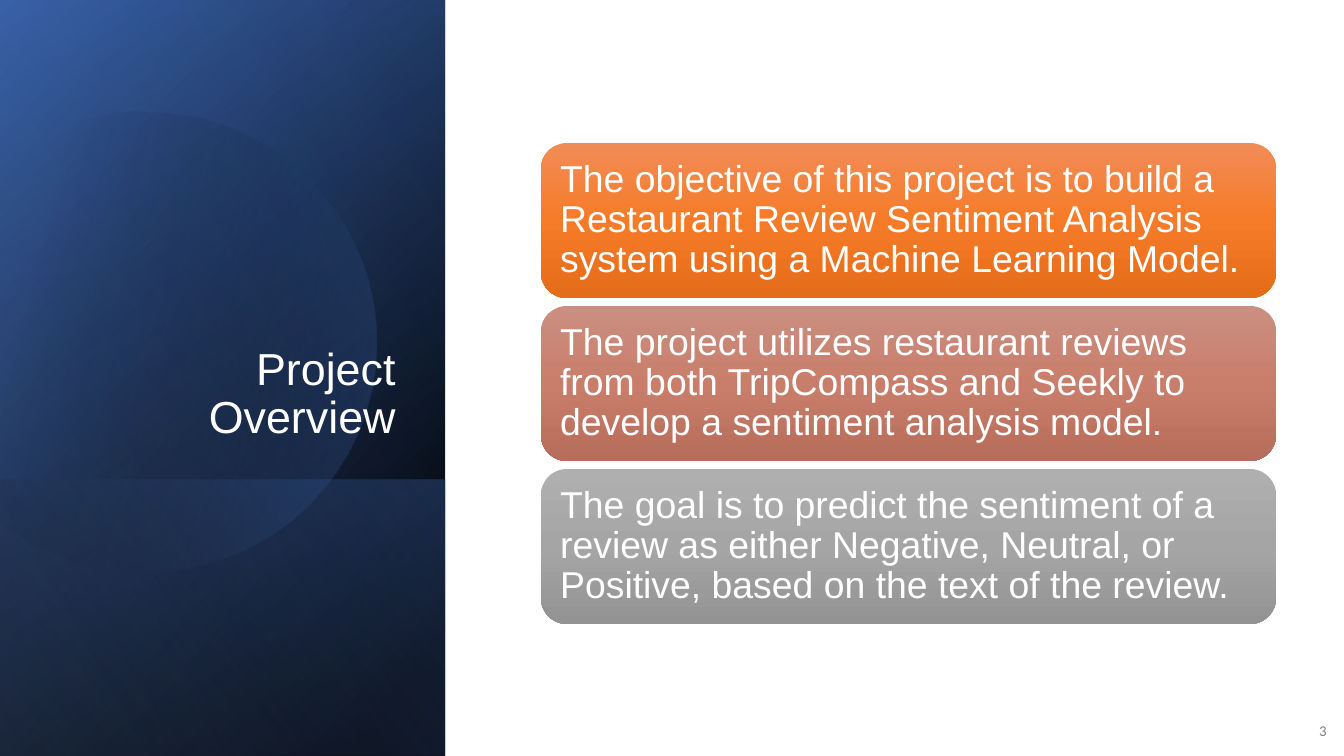
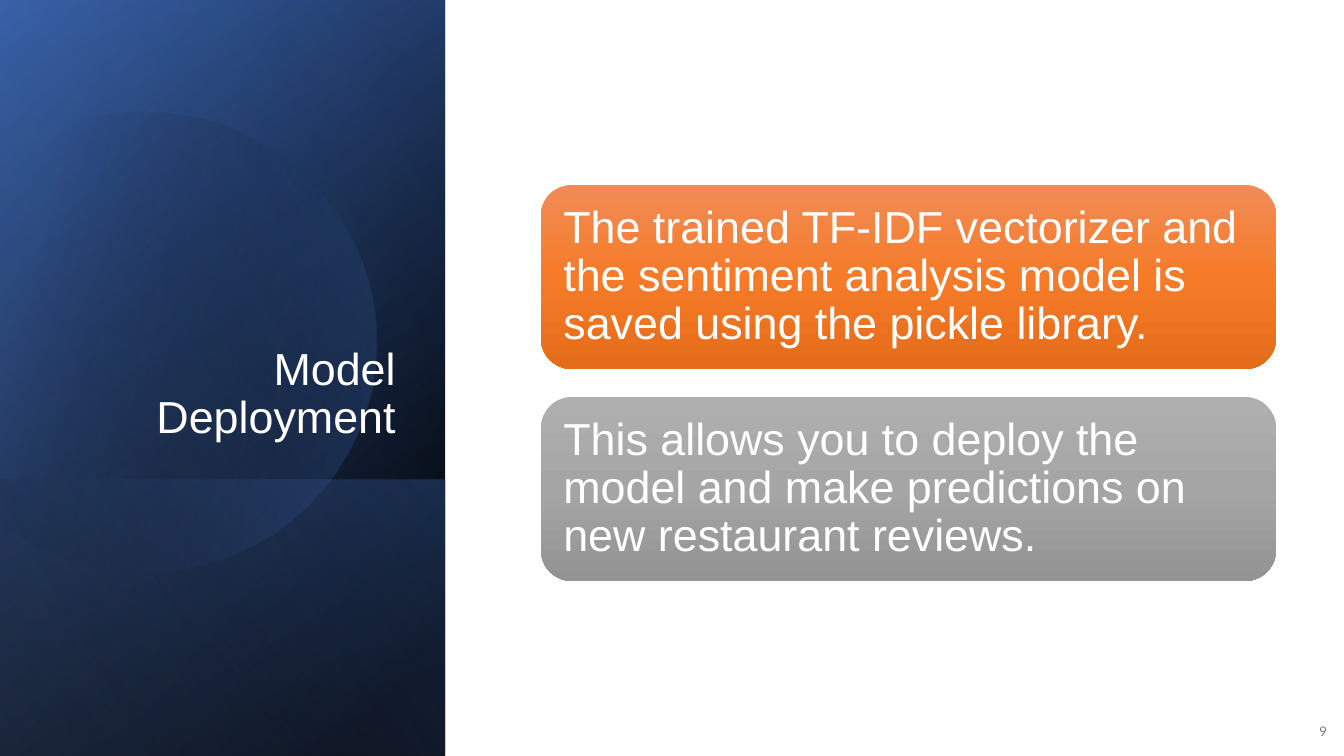
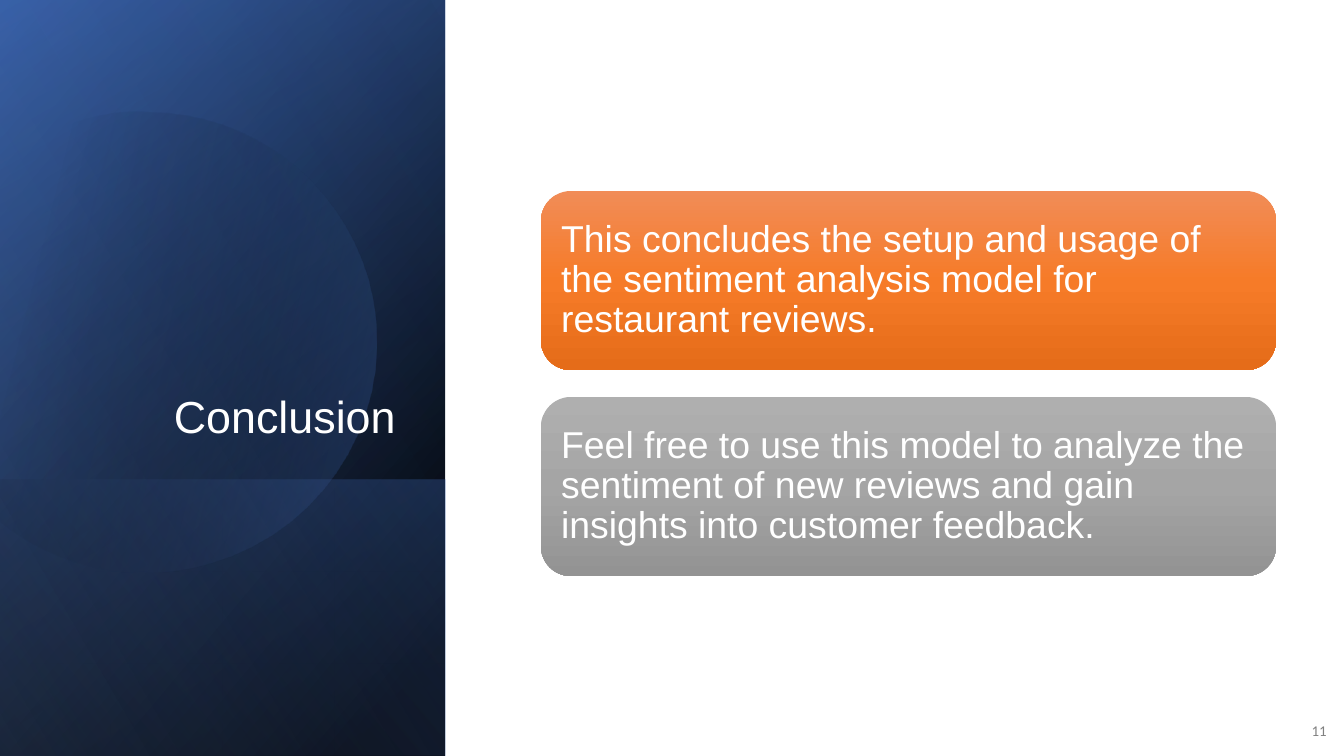
"""Builds three slides with a blue title band and a column of message cards."""
from math import cos, radians, sin

from lxml.etree import SubElement
from pptx import Presentation
from pptx.dml.color import RGBColor
from pptx.enum.shapes import MSO_SHAPE as Preset
from pptx.enum.text import MSO_ANCHOR as Anchor, MSO_AUTO_SIZE as AutoSize, PP_ALIGN as Align
from pptx.oxml.ns import qn
from pptx.util import Emu, Pt

COLORS = {
    "black": "000000", "white": "FFFFFF", "grey": "808080",
    "navy": "2F5597", "blue": "4472C4", "pale": "8FAADC",
    "orange_light": "F18C57", "orange": "F67B28", "orange_dark": "E56C19",
    "rose_light": "CB8F81", "rose": "C97E6B", "rose_dark": "B76D5B",
    "silver_light": "AFAFAF", "silver": "A5A5A5", "silver_dark": "939393",
}
SLIDES = [
    {"title": "Project Overview", "number": "3", "size": 20, "height": 155, "gap": 8, "cards": [
        ("orange", "The objective of this project is to build a Restaurant Review Sentiment "
                   "Analysis system using a Machine Learning Model."),
        ("rose", "The project utilizes restaurant reviews from both TripCompass and Seekly "
                 "to develop a sentiment analysis model."),
        ("silver", "The goal is to predict the sentiment of a review as either Negative, "
                   "Neutral, or Positive, based on the text of the review."),
    ]},
    {"title": "Model Deployment", "number": "9", "size": 24, "height": 184, "gap": 28, "cards": [
        ("orange", "The trained TF-IDF vectorizer and the sentiment analysis model is saved "
                   "using the pickle library."),
        ("silver", "This allows you to deploy the model and make predictions on new "
                   "restaurant reviews."),
    ]},
    {"title": "Conclusion", "number": "11", "size": 20, "height": 179, "gap": 27, "cards": [
        ("orange", "This concludes the setup and usage of the sentiment analysis model for "
                   "restaurant reviews."),
        ("silver", "Feel free to use this model to analyze the sentiment of new reviews and "
                   "gain insights into customer feedback."),
    ]},
]

SLIDE_SIZE = (1344, 756)
BAND = (0, 0, 445, 756)
BAND_FOOT = (0, 480, 445, 276)
LOWER_PANELS = [
    (BAND, [(8, "black", 100), (100, "navy", 100)], 50),
    (BAND, [(0, "black", 0), (99, "blue", 46)], 30),
    (BAND_FOOT, [(2, "blue", 29), (100, "black", 30)], 130),
]
TOP_PANEL = (BAND, [(0, "black", 0), (99, "pale", 11)], 120)
DISC_START = (149, 112)
DISC_PATH = [
    [(249, 113), (337, 179), (367, 278)],
    [(402, 401), (331, 528), (208, 563)],
    [(132, 585), (54, 566), (-3, 519)],
    [(-15, 507)],
    [(-15, 176)],
    [(0, 163)],
    [(23, 144), (51, 129), (81, 120)],
    [(103, 113), (128, 110), (149, 112)],
]
DISC_CENTER = (160, 338)
DISC_TURN = 343.9
DISC_STOPS = [(29, "black", 0), (100, "blue", 43)]
CURVE_STEPS = 16
TITLE_BOX = (65, 185, 344, 265)
NUMBER_BOX = (1290, 711, 50, 40)
CARD_LEFT, CARD_WIDTH, CARDS_MIDDLE = 541, 735, 383
CORNER_INSET = 0.05


def px(length):
    """Turn pixels into EMU."""
    return Emu(round(length * 914400 / 134.4))


def box(lengths):
    """Turn a pixel box into EMU."""
    return [px(length) for length in lengths]


def paint(shape, stops, angle):
    """Give a shape a linear gradient, no line and no shadow."""
    shape.shadow.inherit = False
    shape.line.fill.background()
    shape.fill.gradient()
    gradient = shape.element.spPr.find(qn("a:gradFill"))
    stop_list = gradient.find(qn("a:gsLst"))
    for sample in list(stop_list):
        stop_list.remove(sample)
    for position, color, opacity in stops:
        stop = SubElement(stop_list, qn("a:gs"), pos=str(position * 1000))
        shade = SubElement(stop, qn("a:srgbClr"), val=COLORS[color])
        if opacity < 100:
            SubElement(shade, qn("a:alpha"), val=str(opacity * 1000))
    gradient.find(qn("a:lin")).set("ang", str(angle * 60000))


def write(frame, text, size, color, font="Arial", align=Align.LEFT, anchor=Anchor.MIDDLE):
    """Put one formatted paragraph in a text frame and return it."""
    frame.word_wrap = True
    frame.auto_size = AutoSize.NONE
    frame.vertical_anchor = anchor
    paragraph = frame.paragraphs[0]
    paragraph.alignment = align
    run = paragraph.add_run()
    run.text = text
    run.font.size = Pt(size)
    run.font.name = font
    run.font.color.rgb = RGBColor.from_string(COLORS[color])
    return paragraph


def add_panel(slide, area, stops, angle):
    """Cover an area with a mirrored rectangle on its side."""
    left, top, width, height = area
    shift = (width - height) / 2
    panel = slide.shapes.add_shape(
        Preset.RECTANGLE, *box((left + shift, top - shift, height, width)))
    panel.rotation = 90
    panel.element.spPr.find(qn("a:xfrm")).set("flipH", "1")
    paint(panel, stops, angle)


def trace_disc():
    """Return the disc outline as points, with curves sampled."""
    points = [DISC_START]
    for piece in DISC_PATH:
        if len(piece) == 1:
            points += piece
            continue
        corners = [points[-1], *piece]
        for step in range(1, CURVE_STEPS + 1):
            t = step / CURVE_STEPS
            weights = ((1 - t) ** 3, 3 * t * (1 - t) ** 2, 3 * t * t * (1 - t), t ** 3)
            points.append(tuple(
                sum(weight * corner[axis] for weight, corner in zip(weights, corners))
                for axis in (0, 1)))
    return points


def add_disc(slide):
    """Draw the cut disc, turned about its centre."""
    turn = radians(-DISC_TURN)
    middle_x, middle_y = DISC_CENTER
    outline = []
    for x, y in trace_disc():
        across, down = x - middle_x, y - middle_y
        outline.append((px(middle_x + across * cos(turn) - down * sin(turn)),
                        px(middle_y + across * sin(turn) + down * cos(turn))))
    builder = slide.shapes.build_freeform(*outline[0])
    builder.add_line_segments(outline[1:], close=True)
    disc = builder.convert_to_shape()
    disc.rotation = DISC_TURN
    paint(disc, DISC_STOPS, 30)


def add_title(slide, text):
    """Place the title above the band."""
    title = slide.shapes.title
    slide.shapes.element.append(title.element)
    title.left, title.top, title.width, title.height = box(TITLE_BOX)
    heading = write(title.text_frame, text, 24, "white", align=Align.RIGHT, anchor=Anchor.BOTTOM)
    heading.line_spacing = 0.9


def add_number(slide, text):
    """Place the page number in the corner."""
    number = slide.shapes.add_textbox(*box(NUMBER_BOX))
    line = write(number.text_frame, text, 8, "grey", font="Calibri", align=Align.RIGHT)
    line.space_after = Pt(6)


def add_cards(slide, cards, size, height, gap):
    """Stack the cards about their shared middle."""
    group = slide.shapes.add_group_shape()
    pitch = height + gap
    first_top = CARDS_MIDDLE - (len(cards) * pitch - gap) // 2
    inset = round(height * CORNER_INSET)
    for index, (tone, text) in enumerate(cards):
        top = first_top + index * pitch
        card = group.shapes.add_shape(
            Preset.ROUNDED_RECTANGLE, *box((CARD_LEFT, top, CARD_WIDTH, height)))
        paint(card, [(0, f"{tone}_light", 100), (50, tone, 100), (100, f"{tone}_dark", 100)], 90)
        message = group.shapes.add_textbox(*box(
            (CARD_LEFT + inset, top + inset, CARD_WIDTH - 2 * inset, height - 2 * inset)))
        frame = message.text_frame
        frame.margin_left = frame.margin_right = Pt(size * 0.3)
        frame.margin_top = frame.margin_bottom = Pt(size * 0.3)
        paragraph = write(frame, text, size, "white")
        paragraph.line_spacing = 0.9
        paragraph.space_after = Pt(0)
        spacing = paragraph.runs[0].font and frame.paragraphs[0].line_spacing
        after = message.element.find(".//" + qn("a:spcAft"))
        after.remove(after[0])
        SubElement(after, qn("a:spcPct"), val="35000")


def main():
    """Build and save the deck."""
    deck = Presentation()
    deck.slide_width, deck.slide_height = box(SLIDE_SIZE)
    for content in SLIDES:
        slide = deck.slides.add_slide(deck.slide_layouts[5])
        for area, stops, angle in LOWER_PANELS:
            add_panel(slide, area, stops, angle)
        add_disc(slide)
        add_panel(slide, *TOP_PANEL)
        add_title(slide, content["title"])
        add_number(slide, content["number"])
        add_cards(slide, content["cards"], content["size"], content["height"], content["gap"])
    deck.save("out.pptx")


if __name__ == "__main__":
    main()
